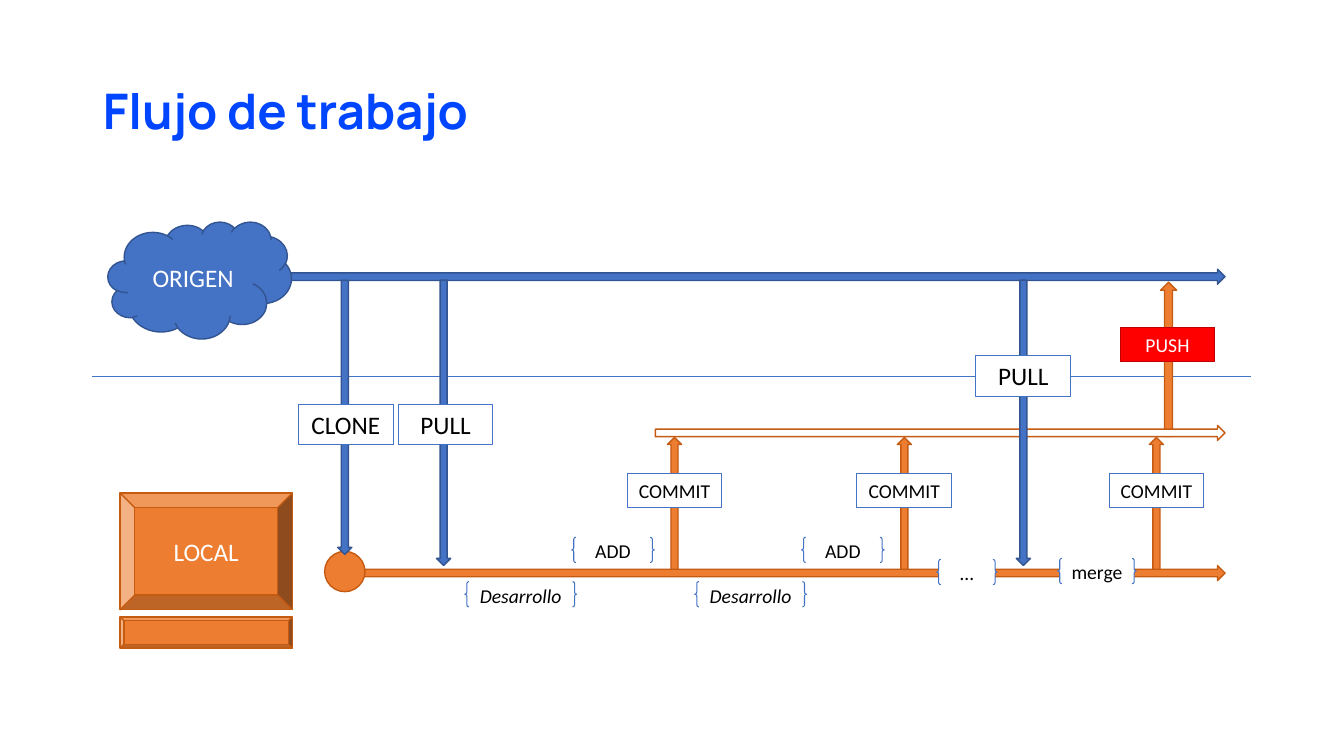
"""Build the workflow slide: remote origin, local line and the commands between them."""
from dataclasses import dataclass
from typing import Optional

from lxml.etree import SubElement
from pptx import Presentation
from pptx.dml.color import RGBColor
from pptx.enum.shapes import MSO_CONNECTOR, MSO_SHAPE as Shape
from pptx.enum.text import MSO_ANCHOR as Anchor, MSO_AUTO_SIZE as AutoSize, PP_ALIGN as Align
from pptx.oxml.ns import qn
from pptx.util import Inches, Pt

BLUE = RGBColor(0x44, 0x72, 0xC4)
DARK_BLUE = RGBColor(0x32, 0x54, 0x91)
TITLE_BLUE = RGBColor(0x00, 0x45, 0xFF)
ORANGE = RGBColor(0xED, 0x7D, 0x31)
DARK_ORANGE = RGBColor(0xC5, 0x5A, 0x11)
RED = RGBColor(0xFF, 0x00, 0x00)
DARK_RED = RGBColor(0xC0, 0x00, 0x00)
WHITE = RGBColor(0xFF, 0xFF, 0xFF)
BLACK = RGBColor(0x00, 0x00, 0x00)

TIMELINE_END = 12.15
LABEL_WIDTH = 0.94
CYCLE_STEP = 2.28


@dataclass
class Block:
    kind: Shape
    left: float
    top: float
    width: float
    height: float
    fill: Optional[RGBColor]
    line: RGBColor
    line_width: float = 1
    rotation: int = 0


def write(text_frame, text: str, size: int, color: RGBColor, font: str = "Calibri",
          bold: bool = False, italic: bool = False, align: Align = Align.CENTER,
          anchor: Anchor = Anchor.MIDDLE, spacing: Optional[float] = None) -> None:
    text_frame.word_wrap = True
    text_frame.vertical_anchor = anchor
    paragraph = text_frame.paragraphs[0]
    paragraph.alignment = align
    paragraph.line_spacing = spacing
    run = paragraph.add_run()
    run.text = text
    run.font.name = font
    run.font.size = Pt(size)
    run.font.bold = bold
    run.font.italic = italic
    run.font.color.rgb = color


def draw(slide, block: Block):
    shape = slide.shapes.add_shape(block.kind, Inches(block.left), Inches(block.top),
                                   Inches(block.width), Inches(block.height))
    shape.shadow.inherit = False
    shape.rotation = block.rotation
    if block.fill is None:
        shape.fill.background()
    else:
        shape.fill.solid()
        shape.fill.fore_color.rgb = block.fill
    shape.line.color.rgb = block.line
    shape.line.width = Pt(block.line_width)
    return shape


def timeline(slide, left: float, top: float, fill: RGBColor, line: RGBColor) -> None:
    draw(slide, Block(Shape.RIGHT_ARROW, left, top, TIMELINE_END - left, 0.15, fill, line))


def up_arrow(slide, center: float, top: float, length: float, thickness: float) -> None:
    draw(slide, Block(Shape.RIGHT_ARROW, center - length / 2, top + (length - thickness) / 2,
                      length, thickness, ORANGE, DARK_ORANGE, rotation=270))


def down_arrow(slide, left: float, length: float) -> None:
    draw(slide, Block(Shape.DOWN_ARROW, left, 2.78, 0.14, length, BLUE, DARK_BLUE))


def label(slide, text: str, left: float, top: float, size: int, fill: RGBColor = WHITE,
          line: RGBColor = BLUE, color: RGBColor = BLACK) -> None:
    height = 0.4 if size == 18 else 0.34
    shape = draw(slide, Block(Shape.RECTANGLE, left, top, LABEL_WIDTH, height, fill, line, 0.75))
    write(shape.text_frame, text, size, color, anchor=Anchor.TOP)
    shape.text_frame.auto_size = AutoSize.SHAPE_TO_FIT_TEXT


def brace(slide, text: str, left: float, top: float, width: float,
          fill: Optional[RGBColor] = None, italic: bool = False) -> None:
    shape = draw(slide, Block(Shape.DOUBLE_BRACE, left, top, width, 0.25, fill, BLUE, 0.75))
    shape.text_frame.margin_left = shape.text_frame.margin_right = 0
    write(shape.text_frame, text, 14, BLACK, italic=italic)


def add_title(slide) -> None:
    title = slide.shapes.title
    title.left, title.top = Inches(0.92), Inches(0.4)
    title.width, title.height = Inches(11.5), Inches(1.45)
    title.text_frame.auto_size = AutoSize.NONE
    write(title.text_frame, "Flujo de trabajo", 35, TITLE_BLUE, font="Manrope", bold=True,
          align=Align.LEFT, spacing=0.9)


def add_divider(slide) -> None:
    divider = slide.shapes.add_connector(MSO_CONNECTOR.STRAIGHT, Inches(0.91), Inches(3.73),
                                         Inches(12.41), Inches(3.73))
    divider.line.color.rgb = BLUE
    divider.line.width = Pt(0.5)
    SubElement(divider.element.spPr, qn("a:effectLst"))


def add_places(slide) -> None:
    timeline(slide, 3.54, 5.61, ORANGE, DARK_ORANGE)
    draw(slide, Block(Shape.OVAL, 3.22, 5.47, 0.4, 0.4, ORANGE, DARK_ORANGE))
    screen = draw(slide, Block(Shape.BEVEL, 1.19, 4.89, 1.71, 1.16, ORANGE, DARK_ORANGE))
    write(screen.text_frame, "LOCAL", 18, WHITE)
    draw(slide, Block(Shape.BEVEL, 1.19, 6.12, 1.71, 0.31, ORANGE, DARK_ORANGE))
    timeline(slide, 2.74, 2.67, BLUE, DARK_BLUE)
    cloud = draw(slide, Block(Shape.CLOUD, 1.07, 2.2, 1.82, 1.16, BLUE, DARK_BLUE))
    write(cloud.text_frame, "ORIGEN", 18, WHITE)
    timeline(slide, 6.5, 4.22, WHITE, DARK_ORANGE)


def main() -> None:
    presentation = Presentation()
    presentation.slide_width, presentation.slide_height = Inches(13.33), Inches(7.5)
    slide = presentation.slides.add_slide(presentation.slide_layouts[5])
    add_title(slide)
    add_divider(slide)

    commit_lefts = (6.22, 6.22 + CYCLE_STEP, 11)
    up_arrow(slide, 11.59, 2.8, 1.53, 0.16)
    for left in commit_lefts:
        up_arrow(slide, left + LABEL_WIDTH / 2, 4.34, 1.34, 0.14)
    add_places(slide)

    for left, length in ((3.35, 2.72), (4.33, 2.83), (10.08, 2.83)):
        down_arrow(slide, left, length)
    for text, left, top in (("CLONE", 2.96, 4.01), ("PULL", 3.95, 4.01), ("PULL", 9.68, 3.53)):
        label(slide, text, left, top, 18)
    for left in commit_lefts:
        label(slide, "COMMIT", left, 4.7, 14)
    label(slide, "PUSH", 11.11, 3.25, 14, fill=RED, line=DARK_RED, color=WHITE)

    for cycle in range(2):
        offset = cycle * CYCLE_STEP
        brace(slide, "Desarrollo", 4.61 + offset, 5.77, 1.11, italic=True)
        brace(slide, "ADD", 5.67 + offset, 5.33, 0.82)
    brace(slide, "…", 9.29, 5.55, 0.6, fill=WHITE)
    brace(slide, "merge", 10.49, 5.54, 0.78, fill=WHITE)

    presentation.save("out.pptx")


if __name__ == "__main__":
    main()
